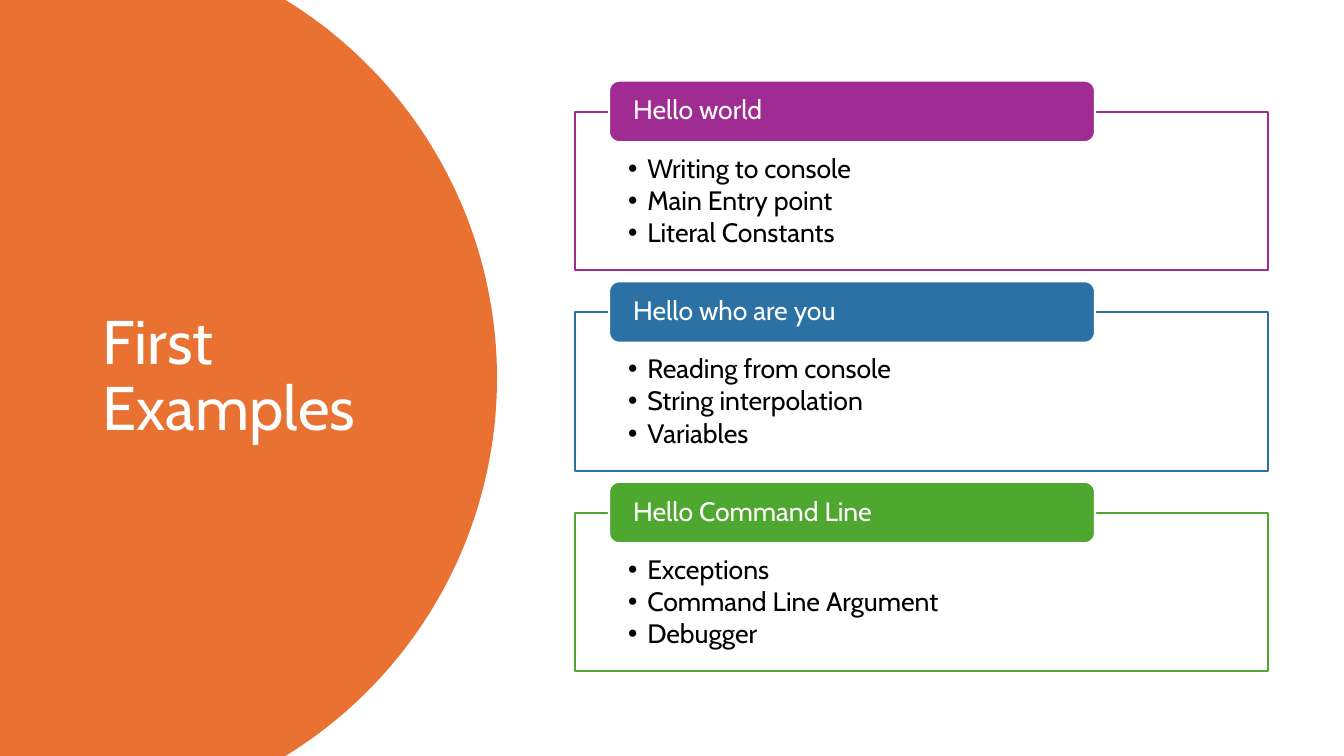
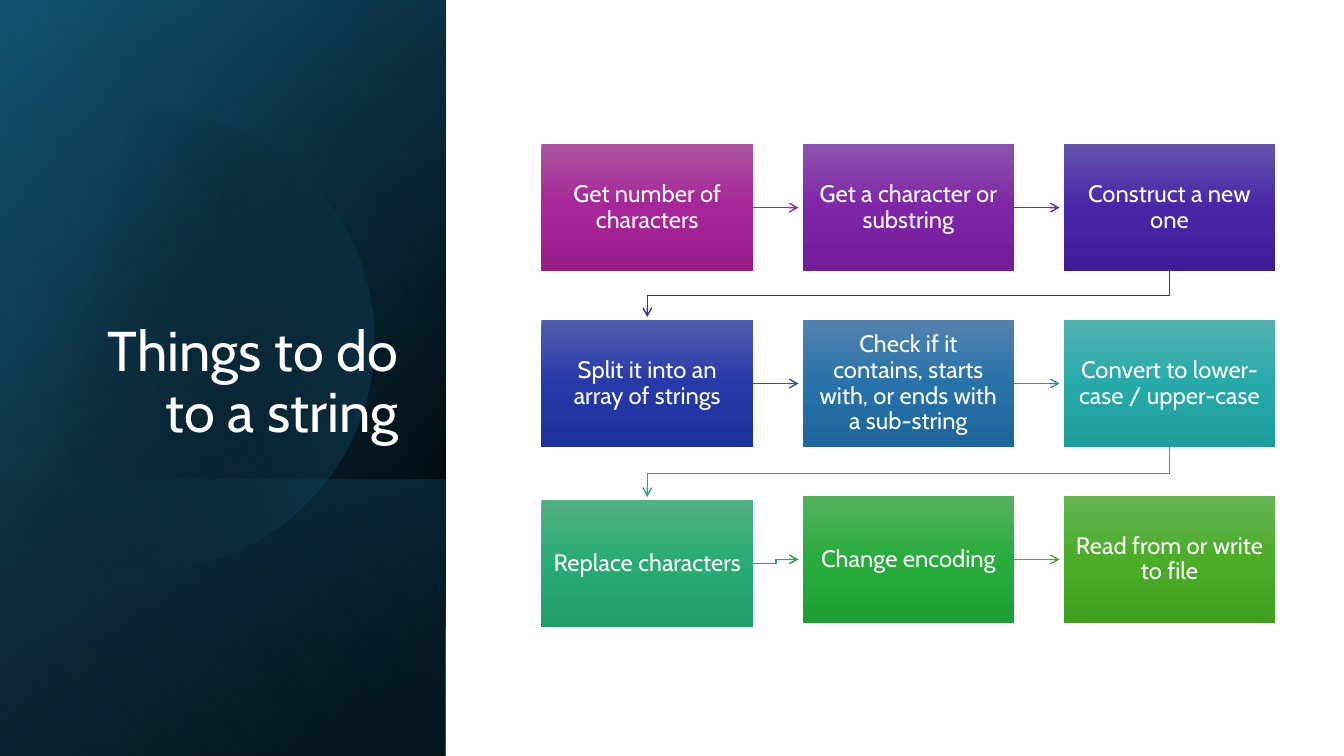
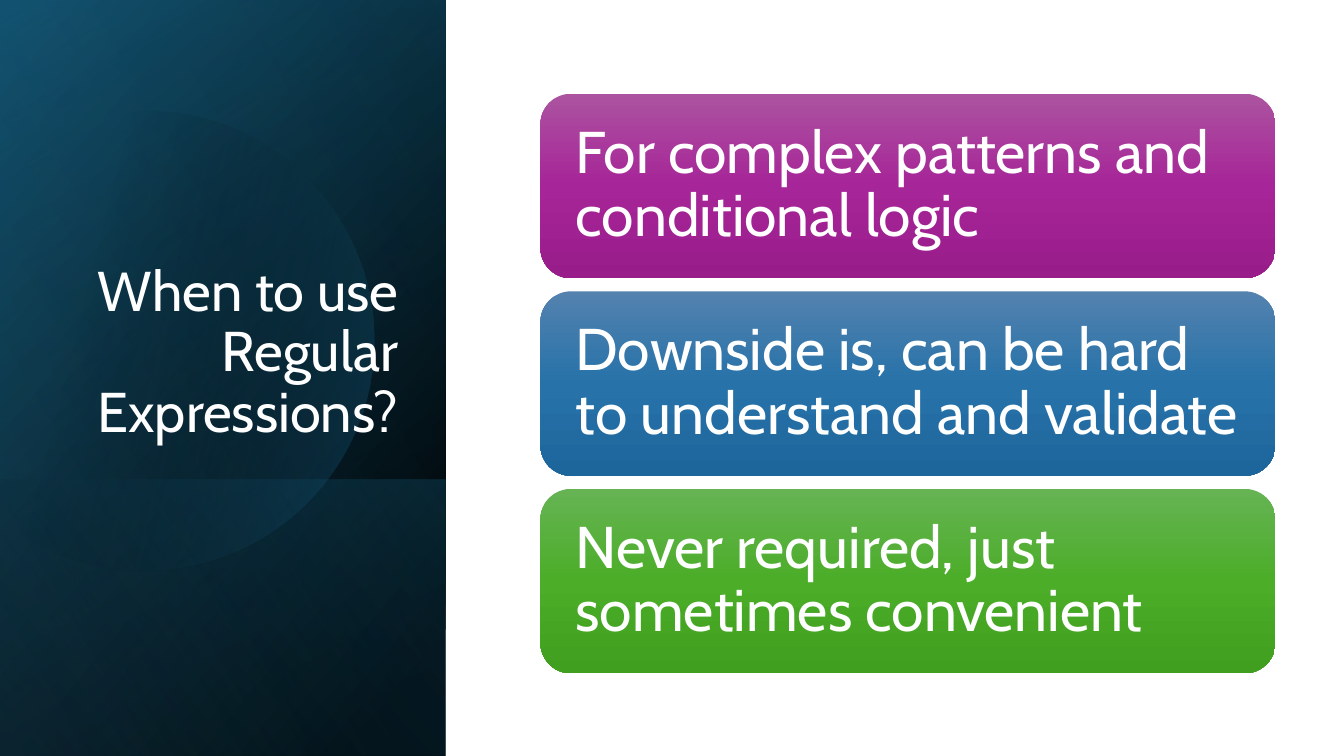
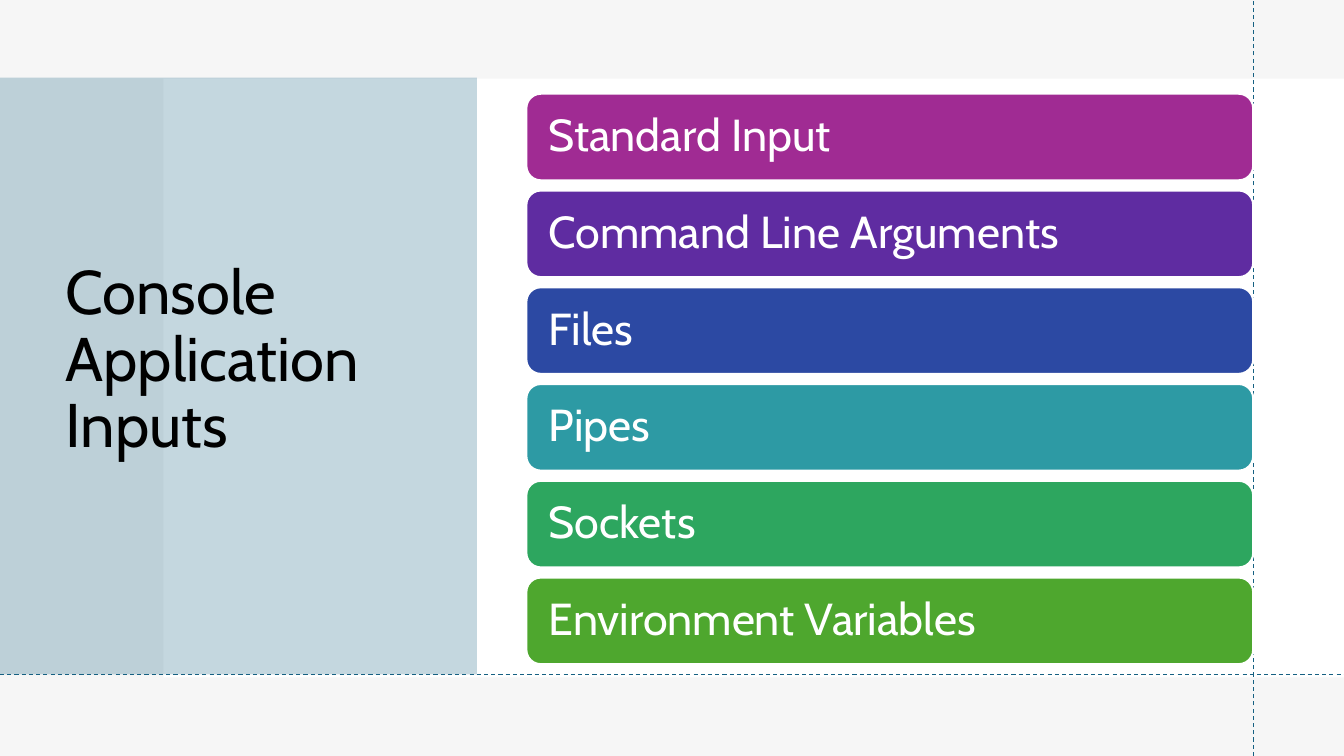
from math import cos, radians, sin

from lxml import etree
from pptx import Presentation
from pptx.dml.color import RGBColor
from pptx.enum.dml import MSO_LINE
from pptx.enum.shapes import MSO_CONNECTOR, MSO_SHAPE
from pptx.enum.text import MSO_ANCHOR, MSO_AUTO_SIZE, PP_ALIGN
from pptx.oxml.ns import qn
from pptx.util import Inches, Pt

RECTANGLE, ROUNDED = MSO_SHAPE.RECTANGLE, MSO_SHAPE.ROUNDED_RECTANGLE
STRAIGHT, ELBOW = MSO_CONNECTOR.STRAIGHT, MSO_CONNECTOR.ELBOW
DASH = MSO_LINE.DASH
TOP, MIDDLE, BOTTOM = MSO_ANCHOR.TOP, MSO_ANCHOR.MIDDLE, MSO_ANCHOR.BOTTOM
LEFT, CENTER, RIGHT = PP_ALIGN.LEFT, PP_ALIGN.CENTER, PP_ALIGN.RIGHT
RIGHT_SIDE = 3

FONT = "Cabin"
WIDTH, HEIGHT = 13.33, 7.5
TITLE_ONLY = 5

WHITE = RGBColor(0xFF, 0xFF, 0xFF)
BLACK = RGBColor(0x00, 0x00, 0x00)
GREY = RGBColor(0xE8, 0xE8, 0xE8)
ORANGE = RGBColor(0xE9, 0x71, 0x32)
NAVY = RGBColor(0x10, 0x48, 0x62)
TEAL = RGBColor(0x15, 0x60, 0x82)
SKY = RGBColor(0x46, 0xB1, 0xE1)
MAGENTA = RGBColor(0xA0, 0x2B, 0x93)
BLUE = RGBColor(0x2C, 0x71, 0xA4)
GREEN = RGBColor(0x4E, 0xA7, 0x2E)


def palette(text):
    return [RGBColor.from_string(code) for code in text.split()]


INPUT_COLORS = [MAGENTA, *palette("5F2CA1 2C49A3 2D9AA4 2DA65F"), GREEN]
ARROW_COLORS = [MAGENTA, *palette("752BA1 3D2CA2 2C54A3 2D8EA4 2DA581 2EA648"), GREEN]
# Top, middle and bottom colour of each step from magenta to green
GRADIENTS = [palette(row) for row in (
    "AC53A0 A62598 991C8B", "8C53AD 7F25A7 721C99", "6553AE 4926A8 3E1C9A",
    "535CAF 263AA9 1D309B", "5382AF 2772A9 1D669C", "53B0B0 27AAAA 1D9D9D",
    "54B183 27AB74 1E9E68", "54B25E 28AC3C 1E9E32", "66B354 4BAD28 409F1E")]

EXAMPLES = [
    ("Hello world", MAGENTA,
     ["Writing to console", "Main Entry point", "Literal Constants"]),
    ("Hello who are you", BLUE,
     ["Reading from console", "String interpolation", "Variables"]),
    ("Hello Command Line", GREEN,
     ["Exceptions", "Command Line Argument", "Debugger"]),
]
STRING_STEPS = [
    "Get number of characters", "Get a character or substring", "Construct a new one",
    "Split it into an array of strings",
    "Check if it contains, starts with, or ends with a sub-string",
    "Convert to lower-case / upper-case",
    "Replace characters", "Change encoding", "Read from or write to file",
]
REGEX_ADVICE = [
    "For complex patterns and conditional logic",
    "Downside is, can be hard to understand and validate",
    "Never required, just sometimes convenient",
]
INPUTS = ["Standard Input", "Command Line Arguments", "Files", "Pipes", "Sockets",
          "Environment Variables"]


def set_fill(shape, color, opacity=100):
    shape.fill.solid()
    shape.fill.fore_color.rgb = color
    if opacity < 100:
        solid = shape.element.spPr.find(qn("a:solidFill"))
        etree.SubElement(solid[0], qn("a:alpha"), val=str(opacity * 1000))


def set_gradient(shape, stops, angle):
    """Fill with (position, colour, opacity) stops, all in percent."""
    shape.fill.solid()
    solid = shape.element.spPr.find(qn("a:solidFill"))
    gradient = etree.Element(qn("a:gradFill"), rotWithShape="1")
    stop_list = etree.SubElement(gradient, qn("a:gsLst"))
    for position, color, opacity in stops:
        stop = etree.SubElement(stop_list, qn("a:gs"), pos=str(position * 1000))
        value = etree.SubElement(stop, qn("a:srgbClr"), val=str(color))
        if opacity < 100:
            etree.SubElement(value, qn("a:alpha"), val=str(opacity * 1000))
    etree.SubElement(gradient, qn("a:lin"), ang=str(angle * 60000), scaled="0")
    solid.getparent().replace(solid, gradient)


def set_step_gradient(shape, colors):
    set_gradient(shape, [(50 * i, color, 100) for i, color in enumerate(colors)], 90)


def set_line(shape, color, width):
    shape.line.color.rgb = color
    shape.line.width = Pt(width)


def add_box(slide, kind, left, top, width, height):
    """Add a preset shape without shadow or outline."""
    shape = slide.shapes.add_shape(
        kind, Inches(left), Inches(top), Inches(width), Inches(height))
    shape.shadow.inherit = False
    shape.line.fill.background()
    return shape


def add_bullet(paragraph):
    properties = paragraph._p.get_or_add_pPr()
    properties.set("marL", str(Inches(0.19)))
    properties.set("indent", str(-Inches(0.19)))
    etree.SubElement(properties, qn("a:buFont"), typeface="Arial")
    etree.SubElement(properties, qn("a:buChar"), char="•")


def write(shape, lines, size, color=WHITE, align=LEFT, anchor=MIDDLE,
          margins=(0.1, 0.05), bullets=False):
    frame = shape.text_frame
    horizontal, vertical = (Inches(margin) for margin in margins)
    settings = {
        "word_wrap": True, "auto_size": MSO_AUTO_SIZE.NONE, "vertical_anchor": anchor,
        "margin_left": horizontal, "margin_right": horizontal,
        "margin_top": vertical, "margin_bottom": vertical,
    }
    for name, value in settings.items():
        setattr(frame, name, value)
    for i, line in enumerate(lines):
        paragraph = frame.paragraphs[0] if i == 0 else frame.add_paragraph()
        paragraph.text = line
        paragraph.alignment = align
        paragraph.line_spacing = 0.9
        if bullets:
            paragraph.space_after = Pt(2.5)
            add_bullet(paragraph)
        font = paragraph.font
        font.name, font.size, font.color.rgb = FONT, Pt(size), color


def add_title(slide, text, left, top, width, height, size, **style):
    """Place the title placeholder in front of the shapes drawn so far."""
    title = slide.shapes.title
    title.left, title.top = Inches(left), Inches(top)
    title.width, title.height = Inches(width), Inches(height)
    write(title, [text], size, **style)
    title.element.getparent().append(title.element)


def add_disc(slide, center_x, center_y, radius, sweep, left):
    """Add a disc open to the left, its arc reaching sweep degrees up and down."""
    steps = 90
    angles = [radians(sweep * (2 * i / steps - 1)) for i in range(steps + 1)]
    arc = [(center_x + radius * cos(a), center_y + radius * sin(a)) for a in angles]
    points = [(left, arc[0][1]), *arc, (left, arc[-1][1])]
    disc = add_outline(slide, points, True)
    disc.line.fill.background()
    return disc


def add_outline(slide, points, close):
    points = [(Inches(x), Inches(y)) for x, y in points]
    builder = slide.shapes.build_freeform(*points[0])
    builder.add_line_segments(points[1:], close=close)
    shape = builder.convert_to_shape()
    shape.shadow.inherit = False
    return shape


def add_line(slide, kind, start, end, color, width):
    line = slide.shapes.add_connector(
        kind, *(Inches(value) for value in (*start, *end)))
    set_line(line, color, width)
    etree.SubElement(line.element.spPr, qn("a:effectLst"))
    return line


def add_arrowhead(line):
    etree.SubElement(line.line._get_or_add_ln(), qn("a:tailEnd"), type="arrow")


def add_dark_band(slide):
    """Draw the layered blue band on the left."""
    band, lower = (-1.54, 1.54, 7.5, 4.42), (0.84, 3.92, 2.74, 4.42)
    layers = [
        (band, [(8, BLACK, 100), (100, NAVY, 100)], 50),
        (band, [(0, BLACK, 0), (99, TEAL, 46)], 30),
        (lower, [(2, TEAL, 29), (100, BLACK, 30)], 130),
        (None, [(29, BLACK, 0), (100, TEAL, 43)], 14),
        (band, [(0, BLACK, 0), (99, SKY, 11)], 120),
    ]
    for place, stops, angle in layers:
        if place:
            layer = add_box(slide, RECTANGLE, *place)
            layer.rotation = 90
            layer.element.spPr.find(qn("a:xfrm")).set("flipH", "1")
        else:
            layer = add_disc(slide, 1.43, 3.38, 2.28, 133.87, -0.15)
        set_gradient(layer, stops, angle)


def add_band_title(slide, text):
    add_dark_band(slide)
    add_title(slide, text, 0.64, 1.84, 3.41, 2.62, 40, align=RIGHT, anchor=BOTTOM)


def build_examples(slide):
    set_fill(add_disc(slide, 0.53, 3.75, 4.4, 58.46, 0), ORANGE)
    add_title(slide, "First Examples", 0.92, 0.7, 3.23, 6.09, 44)
    for i, (heading, color, items) in enumerate(EXAMPLES):
        top = 1.11 + 1.99 * i
        frame = add_box(slide, RECTANGLE, 5.7, top, 6.88, 1.57)
        set_fill(frame, WHITE, 90)
        set_line(frame, color, 1.5)
        write(frame, items, 19, BLACK, anchor=TOP, margins=(0.53, 0.43), bullets=True)
        frame.text_frame.margin_bottom = Inches(0.15)
        tab = add_box(slide, ROUNDED, 6.04, top - 0.31, 4.82, 0.61)
        set_fill(tab, color)
        set_line(tab, WHITE, 1.5)
        write(tab, [heading], 19, margins=(0.21, 0.03))


def build_string_steps(slide):
    add_band_title(slide, "Things to do to a string")
    width, height, columns, gap = 2.1, 1.26, 3, 0.45
    places = [(5.37 + 2.59 * (i % columns), 1.43 + 1.745 * (i // columns))
              for i in range(len(STRING_STEPS))]
    places[6] = (places[6][0], 4.96)
    boxes = []
    for text, colors, place in zip(STRING_STEPS, GRADIENTS, places):
        box = add_box(slide, RECTANGLE, *place, width, height)
        set_step_gradient(box, colors)
        write(box, [text], 17, align=CENTER, margins=(0.1, 0.11))
        boxes.append(box)

    for i, color in enumerate(ARROW_COLORS):
        (left, top), (next_left, next_top) = places[i:i + 2]
        if i % columns == columns - 1:
            start_x, end_x = left + width / 2, next_left + width / 2
            bottom, end_y = top + height, next_top - 0.03
            bend = (bottom + next_top) / 2
            arrow = add_outline(slide, [(start_x, bottom), (start_x, bend),
                                        (end_x, bend), (end_x, end_y)], False)
            arrow.fill.background()
            set_line(arrow, color, 1)
        else:
            start_y, end_y = top + height / 2, next_top + height / 2
            kind = STRAIGHT if top == next_top else ELBOW
            right = left + width
            arrow = add_line(slide, kind, (right, start_y), (right + gap, end_y), color, 1)
            arrow.begin_connect(boxes[i], RIGHT_SIDE)
        add_arrowhead(arrow)


def build_regex_advice(slide):
    add_band_title(slide, "When to use Regular Expressions?")
    for i, text in enumerate(REGEX_ADVICE):
        card = add_box(slide, ROUNDED, 5.36, 0.93 + 1.96 * i, 7.29, 1.83)
        set_step_gradient(card, GRADIENTS[4 * i])
        write(card, [text], 42, margins=(0.26, 0.26))


def build_inputs(slide):
    panels = [
        ((0, 0, WIDTH, HEIGHT), GREY, 35),
        ((1.62, 0.78, WIDTH - 1.62, 5.94), WHITE, 100),
        ((0, 0.77, 4.73, 5.92), TEAL, 25),
    ]
    for place, color, opacity in panels:
        set_fill(add_box(slide, RECTANGLE, *place), color, opacity)
    add_title(slide, "Console Application Inputs", 0.55, 0.74, 3.95, 5.69, 44, color=BLACK)
    for start, end in (((12.43, HEIGHT), (12.43, 0)), ((0, 6.69), (WIDTH, 6.69))):
        guide = add_line(slide, STRAIGHT, start, end, TEAL, 0.75)
        guide.line.dash_style = DASH
    for i, (text, color) in enumerate(zip(INPUTS, INPUT_COLORS)):
        bar = add_box(slide, ROUNDED, 5.22, 0.93 + 0.96 * i, 7.21, 0.86)
        set_fill(bar, color)
        set_line(bar, WHITE, 1.5)
        write(bar, [text], 32, margins=(0.18, 0.17))


def main():
    presentation = Presentation()
    presentation.slide_width = Inches(WIDTH)
    presentation.slide_height = Inches(HEIGHT)
    layout = presentation.slide_layouts[TITLE_ONLY]
    for build in (build_examples, build_string_steps, build_regex_advice, build_inputs):
        build(presentation.slides.add_slide(layout))
    presentation.save("out.pptx")


if __name__ == "__main__":
    main()
